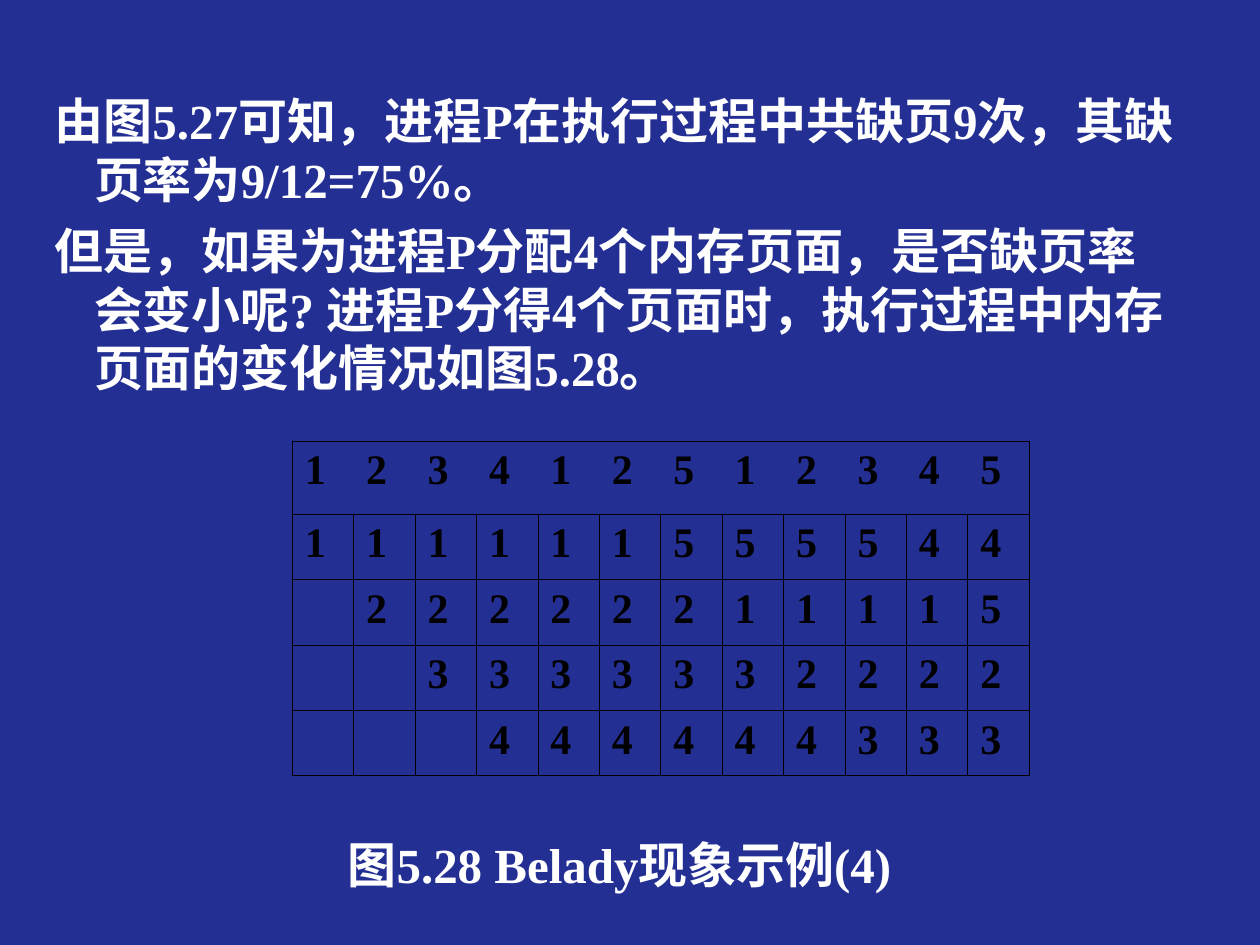
from pptx import Presentation, util as u
from pptx.dml.color import RGBColor
from pptx.enum import lang, text
from pptx.oxml import parse_xml
from pptx.oxml.ns import nsdecls

Pt = u.Pt
COLOURS = {"background": "242F94", "body": "FFFFFF", "table": "000000"}
FONT = {"name": "Times New Roman", "bold": True, "language_id": lang.MSO_LANGUAGE_ID.SIMPLIFIED_CHINESE}


def write(para, words, size, colour, before):
    para.space_before = Pt(before)
    span = para.add_run()
    span.text = words
    for key, value in {**FONT, "size": Pt(size)}.items():
        setattr(span.font, key, value)
    span.font.color.rgb = RGBColor.from_string(COLOURS[colour])


deck = Presentation()
deck.slide_width, deck.slide_height = Pt(720), Pt(540)
page = deck.slides.add_slide(deck.slide_layouts[0])
page.background.fill.solid()
page.background.fill.fore_color.rgb = RGBColor.from_string(COLOURS["background"])

title = page.shapes.title.element
title.getparent().remove(title)

body = page.placeholders[1]
body.left, body.top, body.width, body.height = Pt(24), Pt(48), Pt(660), Pt(462)
frame = body.text_frame
for key, value in {
    "word_wrap": True,
    "auto_size": text.MSO_AUTO_SIZE.NONE,
    "vertical_anchor": text.MSO_ANCHOR.TOP,
}.items():
    setattr(frame, key, value)

LEFT, CENTER = text.PP_ALIGN.LEFT, text.PP_ALIGN.CENTER
paragraphs = [
    ("由图5.27可知，进程P在执行过程中共缺页9次，其缺页率为9/12=75%。", LEFT, 7),
    ("但是，如果为进程P分配4个内存页面，是否缺页率会变小呢? 进程P分得4个页面时，执行过程中内存页面的变化情况如图5.28。", LEFT, 7),
    ("图5.28 Belady现象示例(4)", CENTER, 250),
]
for index, (words, align, before) in enumerate(paragraphs):
    para = frame.add_paragraph() if index else frame.paragraphs[0]
    para.alignment = align
    properties = para._p.get_or_add_pPr()
    properties.set("marL", str(Pt(22.5)))
    properties.set("indent", str(Pt(-22.5)))
    write(para, words, 28, "body", before)

page_frames = ["123412512345", "111111555544", " 22222211115", "  3333332222", "   444444333"]
row_count, column_count = len(page_frames), len(page_frames[0])
table = page.shapes.add_table(row_count, column_count, Pt(167), Pt(252), Pt(421.2), Pt(191.4)).table
for flag in ("first_row", "horz_banding"):
    setattr(table, flag, False)
table._tbl.tblPr.find("{*}tableStyleId").text = "{2D5ABB26-0587-4C30-8999-92F81FD0307C}"
for column in table.columns:
    column.width = Pt(35.1)

for row, digits in enumerate(page_frames):
    table.rows[row].height = Pt(37.4 if row else 41.8)
    for column, digit in enumerate(digits):
        cell = table.cell(row, column)
        edges = {
            "L": row > 0 or column == 0,
            "R": row > 0 or column == column_count - 1,
            "T": True,
            "B": True,
        }
        for side, drawn in edges.items():
            if drawn:
                cell._tc.get_or_add_tcPr().append(parse_xml(
                    f'<a:ln{side} {nsdecls("a")} w="{Pt(0.45)}"><a:solidFill>'
                    f'<a:srgbClr val="{COLOURS["table"]}"/></a:solidFill></a:ln{side}>'
                ))
        cell.fill.background()
        if digit != " ":
            write(cell.text_frame.paragraphs[0], digit, 24, "table", 6)

deck.save("out.pptx")
